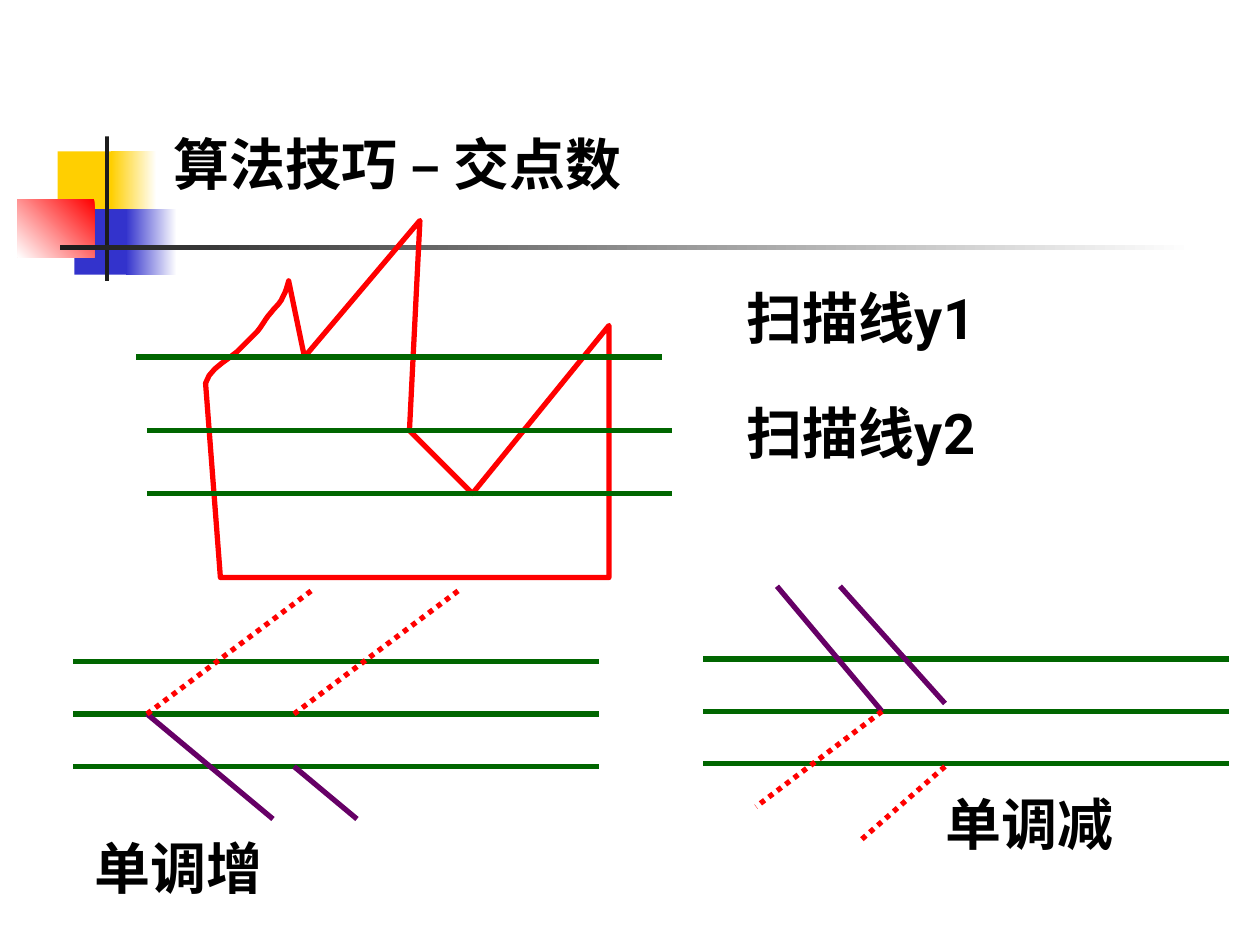
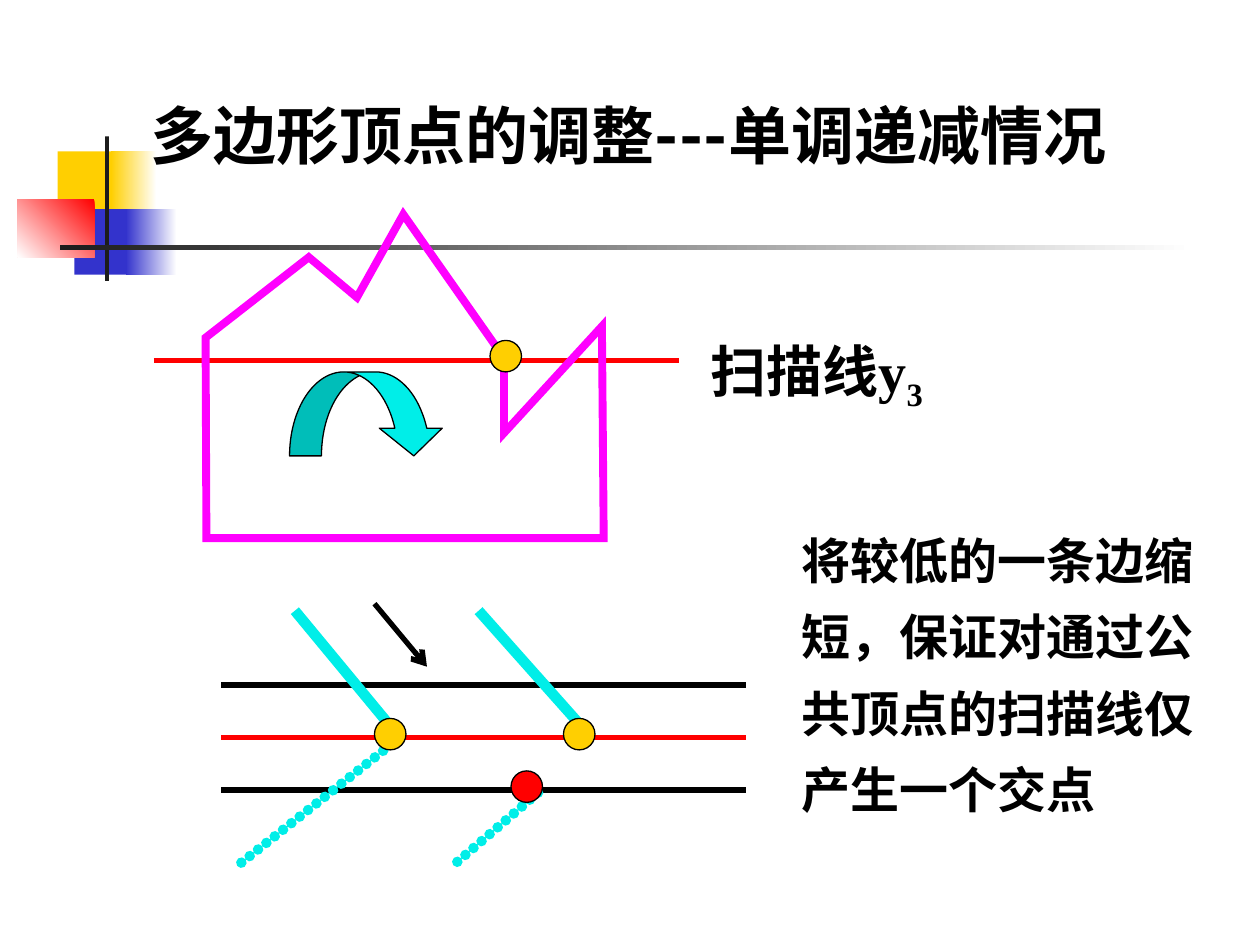
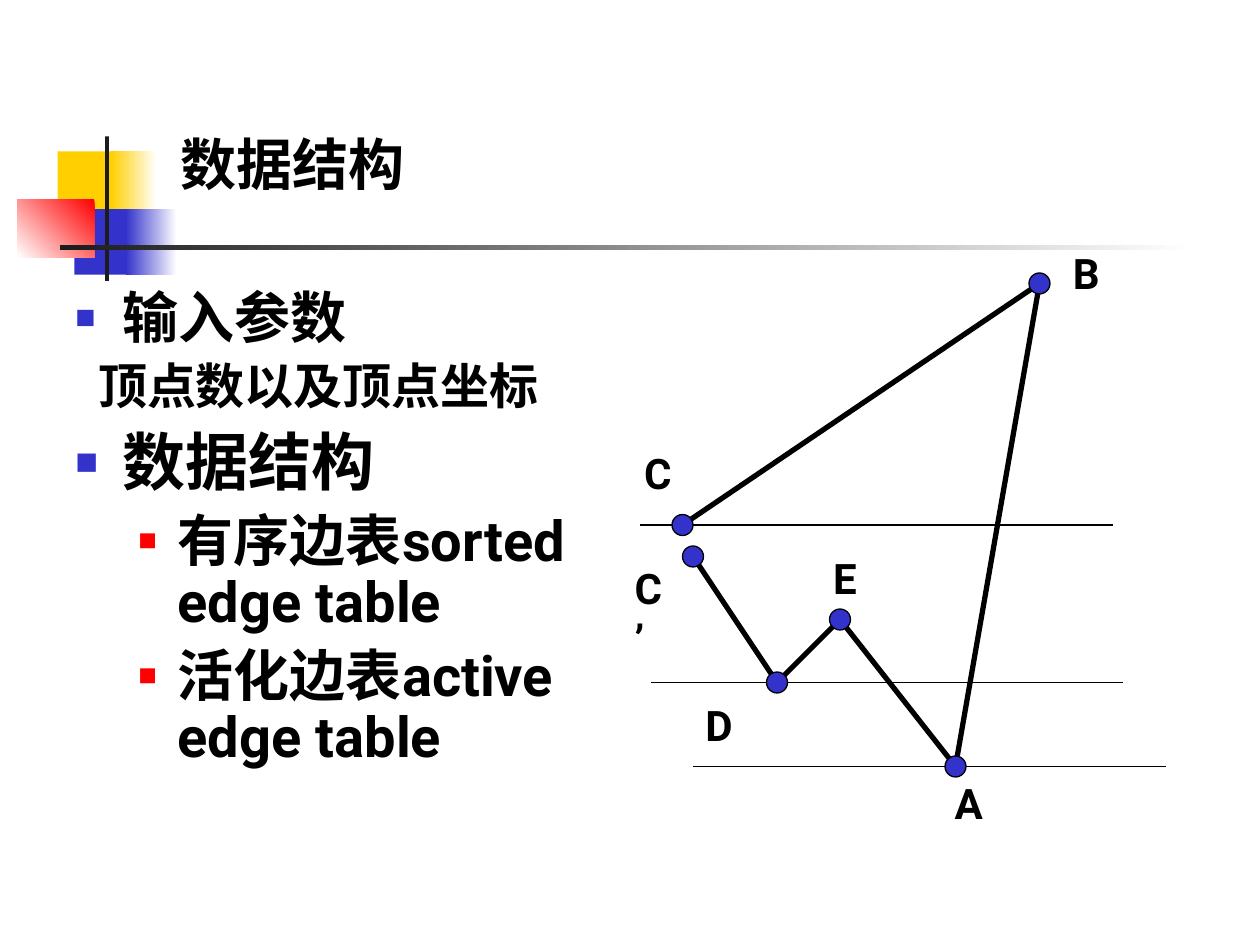
from lxml.etree import SubElement
from pptx import Presentation
from pptx.dml.color import RGBColor
from pptx.enum.dml import MSO_LINE
from pptx.enum.shapes import MSO_CONNECTOR, MSO_SHAPE
from pptx.enum.text import MSO_ANCHOR, PP_ALIGN
from pptx.oxml.ns import qn
from pptx.util import Pt

COLORS = {
    "black": "000000", "white": "FFFFFF", "ink": "1C1C1C", "gold": "FFCF01",
    "blue": "3333CC", "red": "FF0000", "green": "006600", "purple": "660066",
    "magenta": "FF00FF", "cyan": "00EEE8",
}
RGB = {name: RGBColor.from_string(value) for name, value in COLORS.items()}
CJK_FONT = "Noto Sans CJK SC"


def add_text(slide, box, text, frame=None, size=32, font="Roboto", align=PP_ALIGN.LEFT,
             anchor=MSO_ANCHOR.TOP, inset=(7.2, 3.6), wrap=True, line_spacing=None,
             space_before=None, level=0, indent=(0, 0), bullet=None):
    """Put text in a new box, or in a new paragraph of the given frame."""
    if frame is None:
        frame = slide.shapes.add_textbox(*map(Pt, box)).text_frame
        frame.word_wrap = wrap
        frame.vertical_anchor = anchor
        frame.margin_left = frame.margin_right = Pt(inset[0])
        frame.margin_top = frame.margin_bottom = Pt(inset[1])
        paragraph = frame.paragraphs[0]
    else:
        paragraph = frame.add_paragraph()
    paragraph.alignment = align
    paragraph.level = level
    if line_spacing:
        paragraph.line_spacing = line_spacing
    if space_before:
        paragraph.space_before = Pt(space_before)
    properties = paragraph._p.get_or_add_pPr()
    properties.set("marL", str(Pt(indent[0])))
    properties.set("indent", str(Pt(indent[1])))
    if bullet:
        color, percent = bullet
        SubElement(SubElement(properties, qn("a:buClr")), qn("a:srgbClr"), val=COLORS[color])
        SubElement(properties, qn("a:buSzPct"), val=str(percent * 1000))
        SubElement(properties, qn("a:buFont"), typeface="Arial")
        SubElement(properties, qn("a:buChar"), char="■")
    run = paragraph.add_run()
    run.text = text
    run.font.size, run.font.bold, run.font.name = Pt(size), True, font
    run.font.color.rgb = RGB["black"]
    SubElement(run._r.get_or_add_rPr(), qn("a:ea"), typeface=CJK_FONT)
    return frame


def add_line(slide, start, end, color, width=3, dash=None, round_dots=False, arrow=False):
    connector = slide.shapes.add_connector(MSO_CONNECTOR.STRAIGHT, *map(Pt, (*start, *end)))
    connector.line.color.rgb = RGB[color]
    connector.line.width = Pt(width)
    if dash:
        connector.line.dash_style = dash
    outline = connector.line._get_or_add_ln()
    if round_dots:
        outline.set("cap", "rnd")
        SubElement(SubElement(outline, qn("a:custDash")), qn("a:ds"), d="1000", sp="100000")
    if arrow:
        SubElement(outline, qn("a:tailEnd"), type="arrow")
    SubElement(connector._element.spPr, qn("a:effectLst"))


presentation = Presentation()
presentation.slide_width, presentation.slide_height = Pt(720), Pt(540)
crossings, vertices, structures = [
    presentation.slides.add_slide(presentation.slide_layouts[6]) for _ in range(3)
]

# Shared corner ornament: left, top, width, height, colour stops, angle
ornament = [
    (33, 86.5, 34.5, 37.5, ["gold"], None),
    (63.5, 86.5, 26, 37.5, ["white", "gold"], 180),
    (42.5, 119.5, 33, 37.5, ["blue"], None),
    (72, 119.5, 29, 37.5, ["white", "blue"], 180),
    (10, 114, 44, 33, ["red", "white"], 225),
    (60, 78, 2.25, 82.5, ["ink"], None),
    (34.5, 140.2, 648, 2.5, ["white", "ink"], 180),
]
for slide in (crossings, vertices, structures):
    for *box, stops, angle in ornament:
        block = slide.shapes.add_shape(MSO_SHAPE.RECTANGLE, *map(Pt, box))
        block.shadow.inherit = False
        block.line.fill.background()
        if angle is None:
            block.fill.solid()
            block.fill.fore_color.rgb = RGB[stops[0]]
        else:
            block.fill.gradient()
            block.fill.gradient_angle = angle
            for stop, color in zip(block.fill.gradient_stops, stops):
                stop.color.rgb = RGB[color]

add_text(crossings, (92, 55, 544, 61), "算法技巧 – 交点数", anchor=MSO_ANCHOR.BOTTOM)
add_text(vertices, (79, 43, 672, 59), "多边形顶点的调整---单调递减情况", size=36,
         anchor=MSO_ANCHOR.MIDDLE, line_spacing=1.2)
add_text(structures, (96, 55, 544, 61), "数据结构", anchor=MSO_ANCHOR.BOTTOM)

# Polygons; the first one starts with a curved edge of cubic pieces
curve = [(117.5, 219)]
pieces = [
    [(119.5, 211), (129, 206.5), (135.5, 201)],
    [(139, 197.5), (143.5, 193), (147, 189.5)],
    [(150, 186), (152, 181.5), (155, 178.5)],
    [(157.5, 175), (160, 174), (162, 169)],
    [(163.5, 166.5), (165, 160.5), (165, 160.5)],
]
for piece in pieces:
    corners = [curve[-1], *piece]
    for t in (0.2, 0.4, 0.6, 0.8, 1):
        weights = ((1 - t) ** 3, 3 * t * (1 - t) ** 2, 3 * t * t * (1 - t), t ** 3)
        curve.append(tuple(sum(w * corner[axis] for w, corner in zip(weights, corners))
                           for axis in (0, 1)))
jagged = curve + [(174, 204), (240, 126), (234, 246), (270, 282),
                  (348, 186), (348, 330), (126, 330)]
house = [(117.5, 193), (176.5, 147), (204, 170), (230.5, 122.5), (288, 204.5),
         (288, 247.5), (344, 186.5), (345, 307.5), (118, 307.5)]

add_line(vertices, (88, 206), (388, 206), "red")
for slide, points, color, width, join in [
    (crossings, jagged, "red", 3, "a:round"),
    (vertices, house, "magenta", 4.5, "a:miter"),
]:
    first, *rest = [(Pt(x), Pt(y)) for x, y in points]
    builder = slide.shapes.build_freeform(*first)
    builder.add_line_segments(rest, close=True)
    polygon = builder.convert_to_shape()
    polygon.shadow.inherit = False
    polygon.fill.background()
    polygon.line.color.rgb = RGB[color]
    polygon.line.width = Pt(width)
    SubElement(polygon.line._get_or_add_ln(), qn(join))

# Slide 1: scan lines, then the two monotone cases
scan_starts = [(78, 204), (84, 246), (84, 282)]
scan_starts += [(left, top + 30 * row) for left, top in ((42, 378), (402, 376.5))
                for row in range(3)]
for x, y in scan_starts:
    add_line(crossings, (x, y), (x + 300, y), "green")
for start, end in [((84, 408), (156, 468)), ((168, 438), (204, 468)),
                   ((444, 335), (504, 406.5)), ((480, 335), (540, 402))]:
    add_line(crossings, start, end, "purple")
for start, end in [((84, 408), (180, 336)), ((168, 408), (264, 336)),
                   ((504, 406.5), (432, 461)), ((540, 438), (492, 480))]:
    add_line(crossings, start, end, "red", dash=MSO_LINE.ROUND_DOT)
for text, box, wrap in [
    ("单调减", (540, 451.5, 96.5, 38), False),
    ("单调增", (54, 476.5, 96.5, 38), False),
    ("扫描线y1", (402, 162, 180, 38), True),
    ("扫描线y2", (402, 228, 180, 38), True),
]:
    add_text(crossings, box, text, align=PP_ALIGN.CENTER, anchor=MSO_ANCHOR.MIDDLE,
             inset=(0, 0), wrap=wrap)

# Slide 2: shortened lower edge
for row, color in enumerate(("black", "red", "black")):
    y = 391.5 + 30 * row
    add_line(vertices, (126.5, y), (426.5, y), color)
for start, end, dotted in [
    ((168.5, 349), (228.5, 421.5), False), ((228.5, 421.5), (136, 494.5), True),
    ((273.5, 349), (334, 417), False), ((307.5, 453), (259, 494.5), True),
]:
    add_line(vertices, start, end, "cyan", width=6, round_dots=dotted)
add_line(vertices, (214, 345), (244, 381), "black", arrow=True)

scan_label = add_text(vertices, (406, 192, 186, 44), "扫描线", anchor=MSO_ANCHOR.MIDDLE,
                      inset=(0, 0))
for text, baseline in (("y", "0"), ("3", "-25000")):
    run = scan_label.paragraphs[0].add_run()
    run.text = text
    run.font.size, run.font.bold, run.font.name = Pt(32), True, "Times New Roman"
    run.font.color.rgb = RGB["black"]
    run._r.get_or_add_rPr().set("baseline", baseline)
add_text(vertices, (451, 289.5, 240, 182),
         "将较低的一条边缩短，保证对通过公共顶点的扫描线仅产生一个交点",
         size=28, font="Arial", line_spacing=1.3)

# Slide 3: outline text and the polygon with its split vertex C
add_bulleted = [
    ("输入参数", dict(size=32, indent=(27, -27), bullet=("blue", 60))),
    ("顶点数以及顶点坐标", dict(size=28, font=CJK_FONT, space_before=7, indent=(13, 0))),
    ("数据结构", dict(size=36, space_before=9, indent=(27, -27), bullet=("blue", 60))),
]
add_bulleted += [
    (text, dict(space_before=8, level=1, indent=(58.5, -22.5), bullet=("red", 55)))
    for text in ("有序边表sorted edge table", "活化边表active edge table")
]
outline_frame = None
for text, style in add_bulleted:
    outline_frame = add_text(structures, (36, 162, 324, 295), text, frame=outline_frame,
                             line_spacing=0.9, **style)

# Vertex name: centre, then left, top and width of its label
corners = {
    "A": ((546, 438), (538.5, 440.5, 31)),
    "B": ((594, 162), (606, 138, 30)),
    "C": ((390, 300), (361, 252, 29.5)),
    "C’": ((396, 318), (355.5, 318, 34.5)),
    "D": ((444, 390), (396, 396, 31.5)),
    "E": ((480, 354), (469, 312, 27.5)),
}
for start, end in [("C", "B"), ("B", "A"), ("C’", "D"), ("D", "E"), ("E", "A")]:
    add_line(structures, corners[start][0], corners[end][0], "black")
for x, y in [(366, 300), (372, 390), (396, 438)]:
    add_line(structures, (x, y), (x + 270, y), "black", width=0.75)
for name, (_, label) in corners.items():
    add_text(structures, (*label, 36), name, size=24)

# Vertex dots and the turning arrow: slide, preset, centre, size, colour
markers = [
    (vertices, MSO_SHAPE.OVAL, center, (18, 18), color)
    for center, color in [((289, 203.5), "gold"), ((223, 419.5), "gold"),
                          ((331, 419.5), "gold"), ((301, 449.5), "red")]
]
markers += [(structures, MSO_SHAPE.OVAL, center, (12, 12), "blue")
            for center, _ in corners.values()]
markers.append((vertices, MSO_SHAPE.CURVED_DOWN_ARROW, (210, 236.5), (89, 48), "cyan"))
for slide, preset, (x, y), (width, height), color in markers:
    marker = slide.shapes.add_shape(preset, Pt(x - width / 2), Pt(y - height / 2),
                                    Pt(width), Pt(height))
    marker.shadow.inherit = False
    marker.fill.solid()
    marker.fill.fore_color.rgb = RGB[color]
    marker.line.color.rgb = RGB["black"]
    marker.line.width = Pt(0.75)
    if preset == MSO_SHAPE.CURVED_DOWN_ARROW:
        for index, ratio in enumerate((0.38, 0.75, 0.33)):
            marker.adjustments[index] = ratio

presentation.save("out.pptx")
